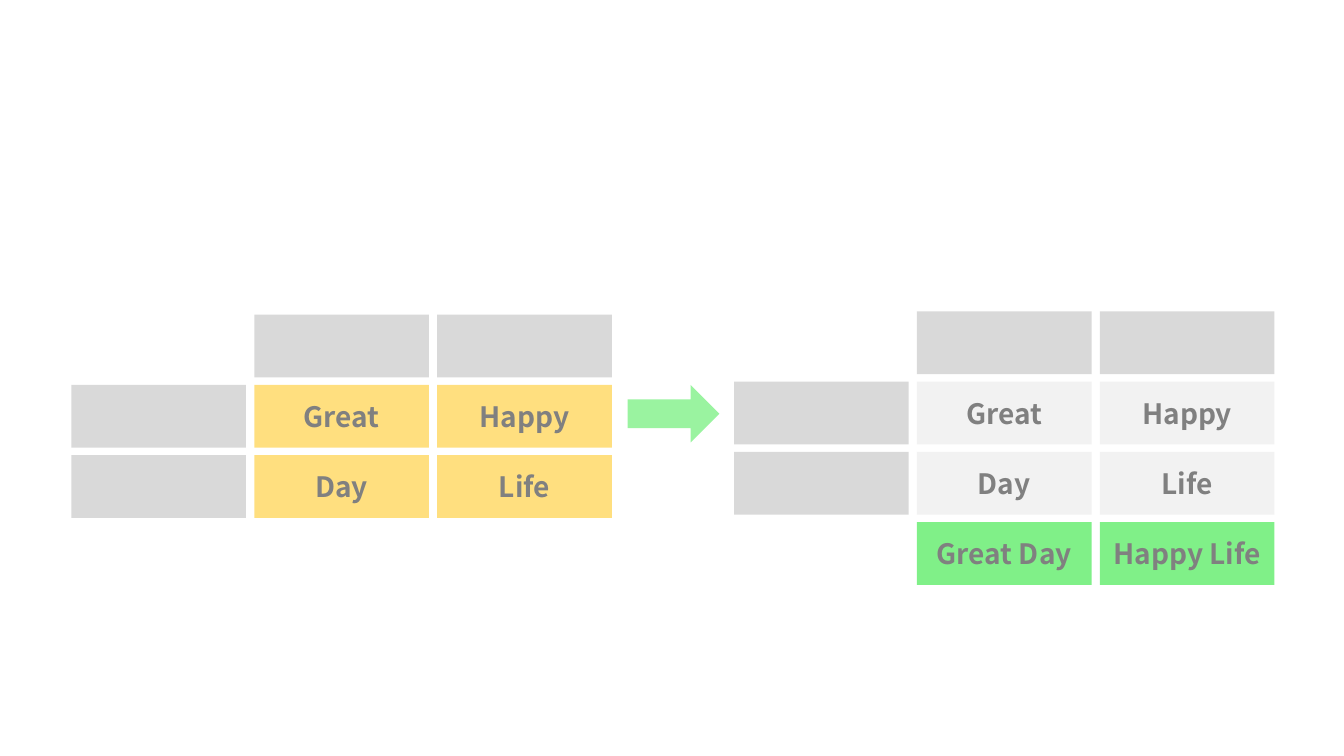
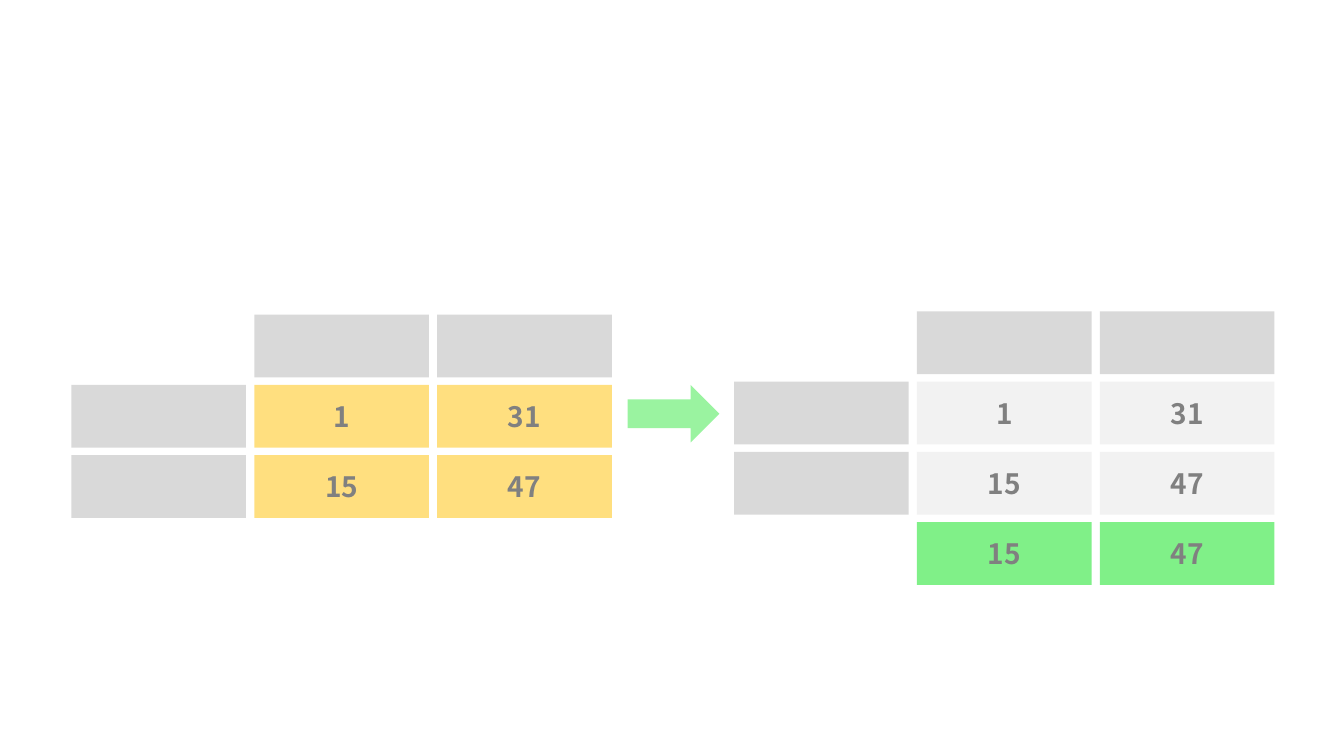
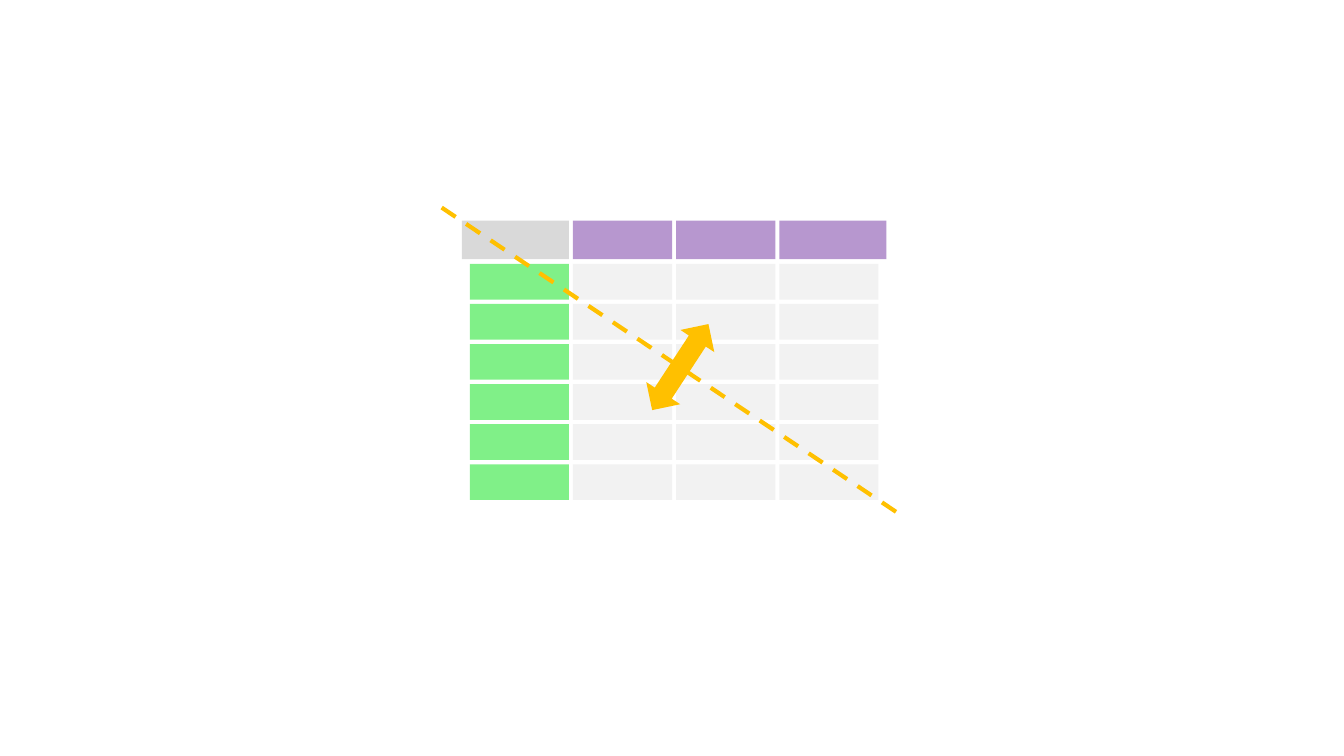
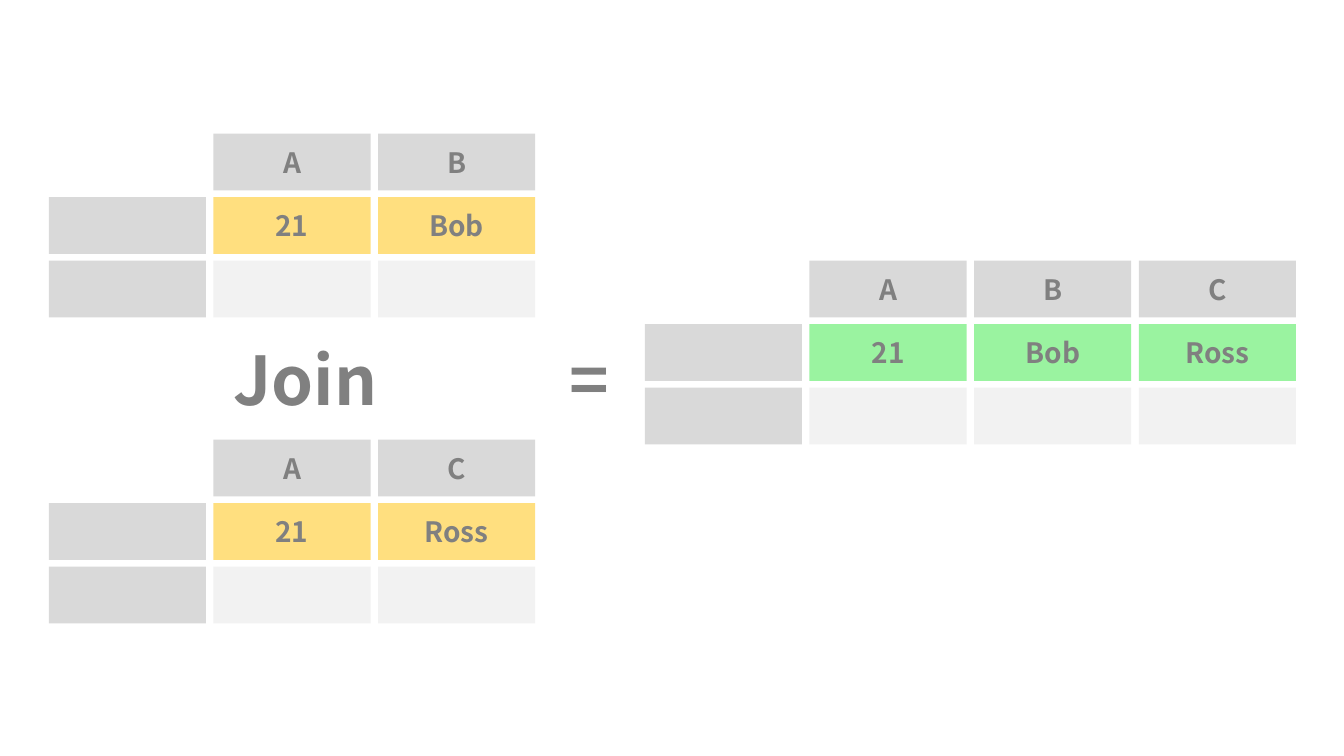
from dataclasses import dataclass
from typing import NamedTuple, Optional

from lxml.etree import SubElement
from pptx import Presentation
from pptx.dml.color import RGBColor
from pptx.enum.dml import MSO_LINE
from pptx.enum.shapes import MSO_CONNECTOR, MSO_SHAPE
from pptx.enum.text import MSO_ANCHOR, MSO_AUTO_SIZE, PP_ALIGN
from pptx.oxml.ns import qn
from pptx.shapes.autoshape import Shape
from pptx.slide import Slide
from pptx.text.text import TextFrame
from pptx.util import Cm, Pt

FONT = "Noto Sans CJK SC"
TEXT_COLOR = "808080"
AMBER_COLOR = "FFC000"
GREEN_COLOR = "03E313"


class Tone(NamedTuple):
    color: str
    opacity: int = 100


HEADER = Tone("D9D9D9")
PLAIN = Tone("F2F2F2")
AMBER = Tone(AMBER_COLOR, 50)
GREEN = Tone(GREEN_COLOR, 50)
PALE_GREEN = Tone(GREEN_COLOR, 40)
PURPLE = Tone("7030A0", 50)
SOLID_AMBER = Tone(AMBER_COLOR)


class Box(NamedTuple):
    """Left, top, width and height in centimetres."""
    left: float
    top: float
    width: float
    height: float


@dataclass(frozen=True)
class CellSize:
    width: float
    height: float
    pitch_x: float
    pitch_y: float


@dataclass(frozen=True)
class Row:
    """One table row; the label is the cell before the texts."""
    tone: Tone
    texts: tuple[str, ...]
    label: Optional[Tone] = HEADER


WIDE_CELL = CellSize(4.4, 1.58, 4.61, 1.77)
JOIN_CELL = CellSize(3.96, 1.43, 4.15, 1.6)
SMALL_CELL = CellSize(2.5, 0.9, 2.6, 1.01)


def rgb(color: str) -> RGBColor:
    return RGBColor.from_string(color)


def write(frame: TextFrame, text: str, size: int) -> None:
    frame.text = text
    paragraph = frame.paragraphs[0]
    paragraph.alignment = PP_ALIGN.CENTER
    font = paragraph.runs[0].font
    font.name, font.size, font.bold = FONT, Pt(size), True
    font.color.rgb = rgb(TEXT_COLOR)


def draw_shape(slide: Slide, kind: MSO_SHAPE, box: Box, tone: Tone) -> Shape:
    shape = slide.shapes.add_shape(kind, *(Cm(length) for length in box))
    shape.shadow.inherit = False
    shape.line.fill.background()
    shape.fill.solid()
    shape.fill.fore_color.rgb = rgb(tone.color)
    if tone.opacity < 100:
        color = shape.fill._xPr.find(qn("a:solidFill"))[0]
        SubElement(color, qn("a:alpha"), val=str(tone.opacity * 1000))
    return shape


def draw_cell(slide: Slide, box: Box, tone: Tone, text: str = "") -> None:
    cell = draw_shape(slide, MSO_SHAPE.RECTANGLE, box, tone)
    if text:
        cell.text_frame.vertical_anchor = MSO_ANCHOR.MIDDLE
        write(cell.text_frame, text, 20)


def draw_grid(slide: Slide, left: float, top: float, size: CellSize, rows: list[Row]) -> None:
    for index, row in enumerate(rows):
        y = top + index * size.pitch_y
        if row.label:
            draw_cell(slide, Box(left, y, size.width, size.height), row.label)
        for column, text in enumerate(row.texts, start=1):
            x = left + column * size.pitch_x
            draw_cell(slide, Box(x, y, size.width, size.height), row.tone, text)


def draw_caption(slide: Slide, left: float, text: str) -> None:
    caption = slide.shapes.add_textbox(Cm(left), Cm(8.41), Cm(10.16), Cm(2.08))
    caption.text_frame.word_wrap = True
    caption.text_frame.auto_size = MSO_AUTO_SIZE.SHAPE_TO_FIT_TEXT
    write(caption.text_frame, text, 48)


def draw_aggregation(slide: Slide, first: tuple[str, str], second: tuple[str, str],
                     result: tuple[str, str]) -> None:
    """Two rows, an arrow, and the same rows with their result below."""
    heading = Row(HEADER, ("", ""), None)
    draw_grid(slide, 1.8, 7.93, WIDE_CELL,
              [heading, Row(AMBER, first), Row(AMBER, second)])
    draw_shape(slide, MSO_SHAPE.RIGHT_ARROW, Box(15.82, 9.7, 2.31, 1.45), PALE_GREEN)
    draw_grid(slide, 18.5, 7.85, WIDE_CELL,
              [heading, Row(PLAIN, first), Row(PLAIN, second), Row(GREEN, result, None)])


def draw_transpose(slide: Slide) -> None:
    left, overhang = 11.84, 0.2
    last = 3
    for column in range(last + 1):
        x = left + column * SMALL_CELL.pitch_x
        width = SMALL_CELL.width
        if column in (0, last):
            width += overhang
        if column == 0:
            x -= overhang
        draw_cell(slide, Box(x, 5.56, width, 0.97), PURPLE if column else HEADER)
    draw_grid(slide, left, 6.65, SMALL_CELL, [Row(PLAIN, ("",) * last, GREEN)] * 6)

    diagonal = slide.shapes.add_connector(
        MSO_CONNECTOR.STRAIGHT, Cm(11.13), Cm(5.23), Cm(22.63), Cm(12.93))
    diagonal.line.color.rgb = rgb(AMBER_COLOR)
    diagonal.line.width = Pt(3)
    diagonal.line.dash_style = MSO_LINE.DASH
    SubElement(diagonal._element.spPr, qn("a:effectLst"))

    swap = draw_shape(slide, MSO_SHAPE.LEFT_RIGHT_ARROW,
                      Box(15.85, 8.74, 2.59, 1.02), SOLID_AMBER)
    swap.rotation = 303.2


def draw_join(slide: Slide) -> None:
    tables = [
        (1.23, 3.37, AMBER, ("A", "B"), ("21", "Bob")),
        (1.23, 11.08, AMBER, ("A", "C"), ("21", "Ross")),
        (16.25, 6.57, PALE_GREEN, ("A", "B", "C"), ("21", "Bob", "Ross")),
    ]
    for left, top, tone, headings, values in tables:
        draw_grid(slide, left, top, JOIN_CELL, [
            Row(HEADER, headings, None),
            Row(tone, values),
            Row(PLAIN, ("",) * len(headings)),
        ])
    draw_caption(slide, 2.62, "Join")
    draw_caption(slide, 9.78, "=")


def main() -> None:
    deck = Presentation()
    deck.slide_width, deck.slide_height = Cm(33.87), Cm(19.05)
    concat, maximum, transpose, join = (
        deck.slides.add_slide(deck.slide_layouts[6]) for _ in range(4))
    draw_aggregation(concat, ("Great", "Happy"), ("Day", "Life"), ("Great Day", "Happy Life"))
    draw_aggregation(maximum, ("1", "31"), ("15", "47"), ("15", "47"))
    draw_transpose(transpose)
    draw_join(join)
    deck.save("out.pptx")


if __name__ == "__main__":
    main()
